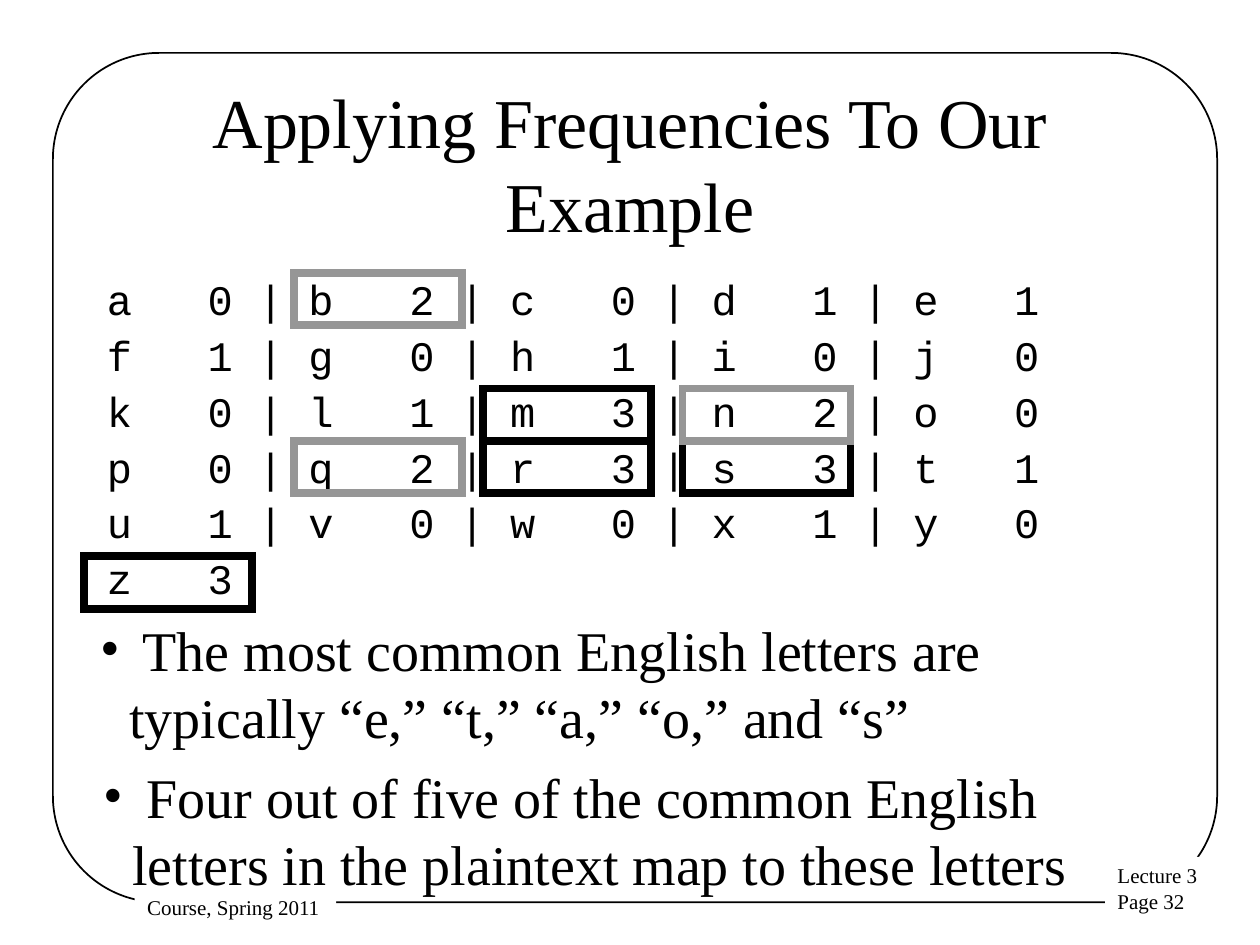
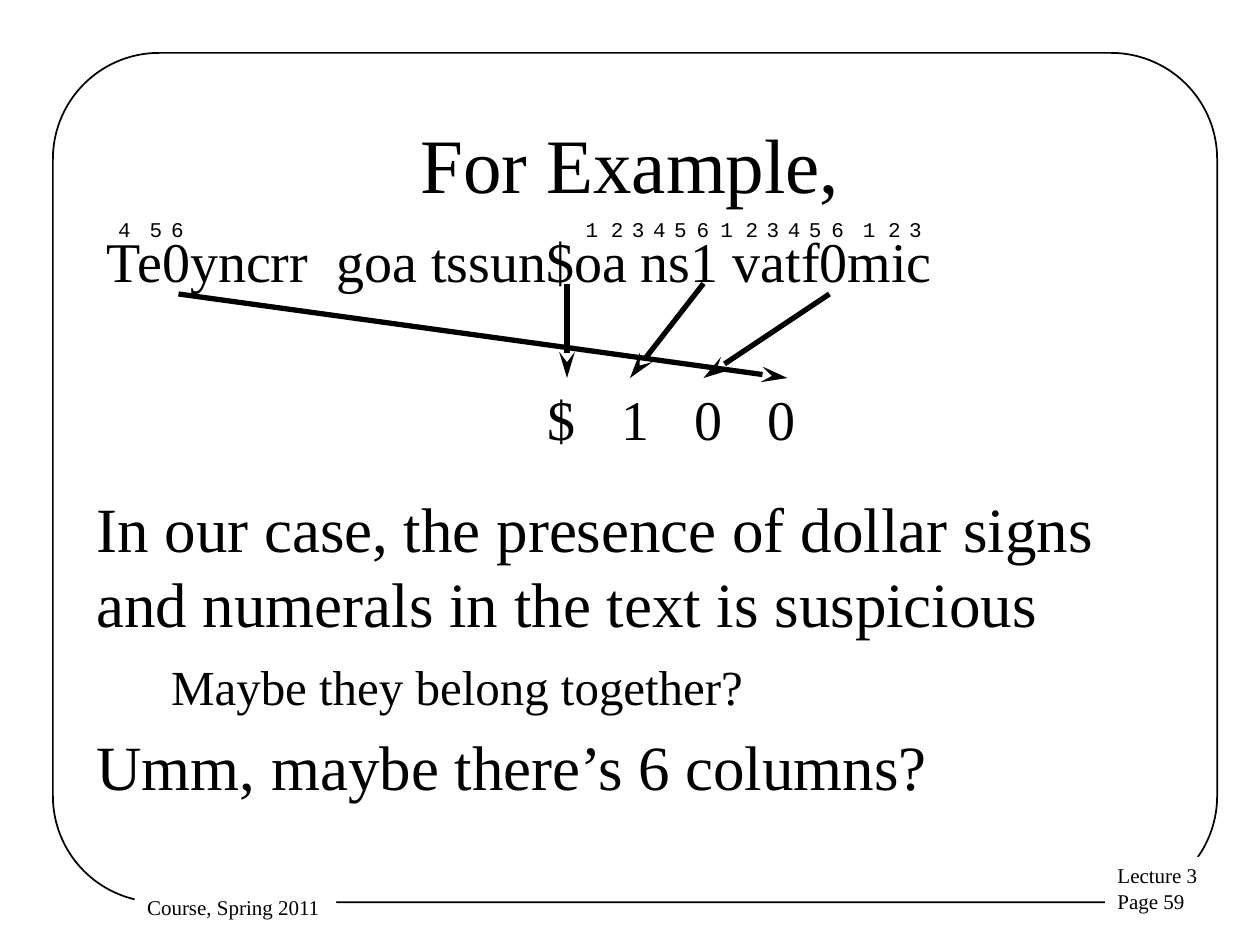
"""Build two lecture slides on letter frequencies and transposition ciphers."""
from lxml import etree
from pptx import Presentation
from pptx.dml.color import RGBColor
from pptx.enum import shapes, text
from pptx.oxml import ns
from pptx.util import Pt

SERIF = "Times New Roman"
MONO = "Courier New"
BLACK, GREY, WHITE = "000000", "969696", "FFFFFF"


def color(value):
    return RGBColor.from_string(value)


def write(page, left, top, width, height, lines, size, font=SERIF, wrap=False):
    box = page.shapes.add_textbox(Pt(left), Pt(top), Pt(width), Pt(height))
    box.text_frame.word_wrap = wrap
    for index, line in enumerate(lines):
        para = box.text_frame.paragraphs[0] if index == 0 else box.text_frame.add_paragraph()
        span = para.add_run()
        span.text = line
        span.font.size = Pt(size)
        span.font.name = font
        span.font.color.rgb = color(BLACK)
    return box


deck = Presentation()
deck.slide_width, deck.slide_height = Pt(720), Pt(540)

pages = []
for title, title_size, number in [
    ("Applying Frequencies To Our Example", 40, 32),
    ("For Example,", 44, 59),
]:
    page = deck.slides.add_slide(deck.slide_layouts[6])
    pages.append(page)
    frame = page.shapes.add_shape(
        shapes.MSO_SHAPE.ROUNDED_RECTANGLE, Pt(30.24), Pt(30.24), Pt(665.28), Pt(485.28))
    frame.adjustments[0] = 0.125
    frame.shadow.inherit = False
    frame.fill.background()
    frame.line.color.rgb = color(BLACK)
    frame.line.width = Pt(1)
    page_label = write(page, 631.5, 489.6, 91.5, 36, ["Lecture 3", f"Page {number}"], 12, wrap=True)
    course_label = write(page, 77, 507.6, 115.2, 21.6, ["Course, Spring 2011"], 12)
    for label in (page_label, course_label):
        label.fill.solid()
        label.fill.fore_color.rgb = color(WHITE)
    heading = write(page, 54, 48, 612, 90, [title], title_size, wrap=True)
    heading.text_frame.vertical_anchor = text.MSO_ANCHOR.MIDDLE
    heading.text_frame.paragraphs[0].alignment = text.PP_ALIGN.CENTER

frequencies, example = pages

counts = ["a0 b2 c0 d1 e1", "f1 g0 h1 i0 j0", "k0 l1 m3 n2 o0",
          "p0 q2 r3 s3 t1", "u1 v0 w0 x1 y0", "z3"]
rows = [" | ".join("\t".join(cell) for cell in row.split()) for row in counts]
table = write(frequencies, 54, 156, 612, 324, rows, 24, MONO, wrap=True)
for index, para in enumerate(table.text_frame.paragraphs):
    para.line_spacing = 0.9
    if index:
        para.space_before = Pt(6)
    tab_list = etree.SubElement(para._p.get_or_add_pPr(), ns.qn("a:tabLst"))
    for column in range(5):
        etree.SubElement(tab_list, ns.qn("a:tab"), pos=str(Pt(57.6 + 115.2 * column)), algn="l")

bullets = [
    (50.4, 348, 619.2,
     " The most common English letters are typically “e,” “t,” “a,” “o,” and “s”"),
    (52, 432, 602,
     " Four out of five of the common English letters in the plaintext map to these letters"),
]
for left, top, width, line in bullets:
    box = write(frequencies, left, top, width, 84, [line], 32, wrap=True)
    properties = box.text_frame.paragraphs[0]._p.get_or_add_pPr()
    properties.set("marL", str(Pt(16.5)))
    properties.set("indent", str(Pt(-16.5)))
    etree.SubElement(properties, ns.qn("a:buFont"), typeface=SERIF)
    etree.SubElement(properties, ns.qn("a:buChar"), char="•")

for left, top, outline in [
    (276, 222, BLACK), (276, 252, BLACK), (390, 252, BLACK), (48, 318, BLACK),
    (168, 156, GREY), (390, 222, GREY), (168, 252, GREY),
]:
    marker = frequencies.shapes.add_shape(
        shapes.MSO_SHAPE.RECTANGLE, Pt(left), Pt(top), Pt(96), Pt(30))
    marker.shadow.inherit = False
    marker.fill.background()
    marker.line.color.rgb = color(outline)
    marker.line.width = Pt(4.5)
    etree.SubElement(marker.line._get_or_add_ln(), ns.qn("a:miter"), lim="800000")

write(example, 48, 276, 601, 93.6,
      ["In our case, the presence of dollar signs and numerals in the text is suspicious"],
      36, wrap=True)
write(example, 90.7, 371.5, 341.3, 41, ["Maybe they belong together?"], 28)
write(example, 54, 126, 488, 46, ["Te0yncrr  goa tssun$oa ns1 vatf0mic"], 32)

arrows = [(324, 162, 324), (402, 162, 360), (474, 168, 402), (102, 168, 450)]
for index, (symbol, (start, top, end)) in enumerate(zip("$100", arrows)):
    arrow = example.shapes.add_connector(
        shapes.MSO_CONNECTOR.STRAIGHT, Pt(start), Pt(top), Pt(end), Pt(216))
    arrow.line.color.rgb = color(BLACK)
    arrow.line.width = Pt(3)
    etree.SubElement(arrow.line._get_or_add_ln(), ns.qn("a:tailEnd"),
                     type="stealth", w="med", len="lg")
    etree.SubElement(arrow._element.spPr, ns.qn("a:effectLst"))
    write(example, 306 + 41.8 * index, 216, 30.24, 46, [symbol], 32)

write(example, 48, 412, 491, 50.4, ["Umm, maybe there’s 6 columns?"], 36)

digit_steps = [0, 14.4, 26.4, 38.6, 50.6, 63.4]
digits = [(start + step, place)
          for start, length in [(327.6, 6), (404.6, 6), (486, 3)]
          for place, step in enumerate(digit_steps[:length], 1)]
digits += [(60.5, 4), (78.5, 5), (90.7, 6)]
for left, place in digits:
    write(example, left, 120, 21.6, 21.6, [str(place)], 12, MONO)

deck.save("out.pptx")
